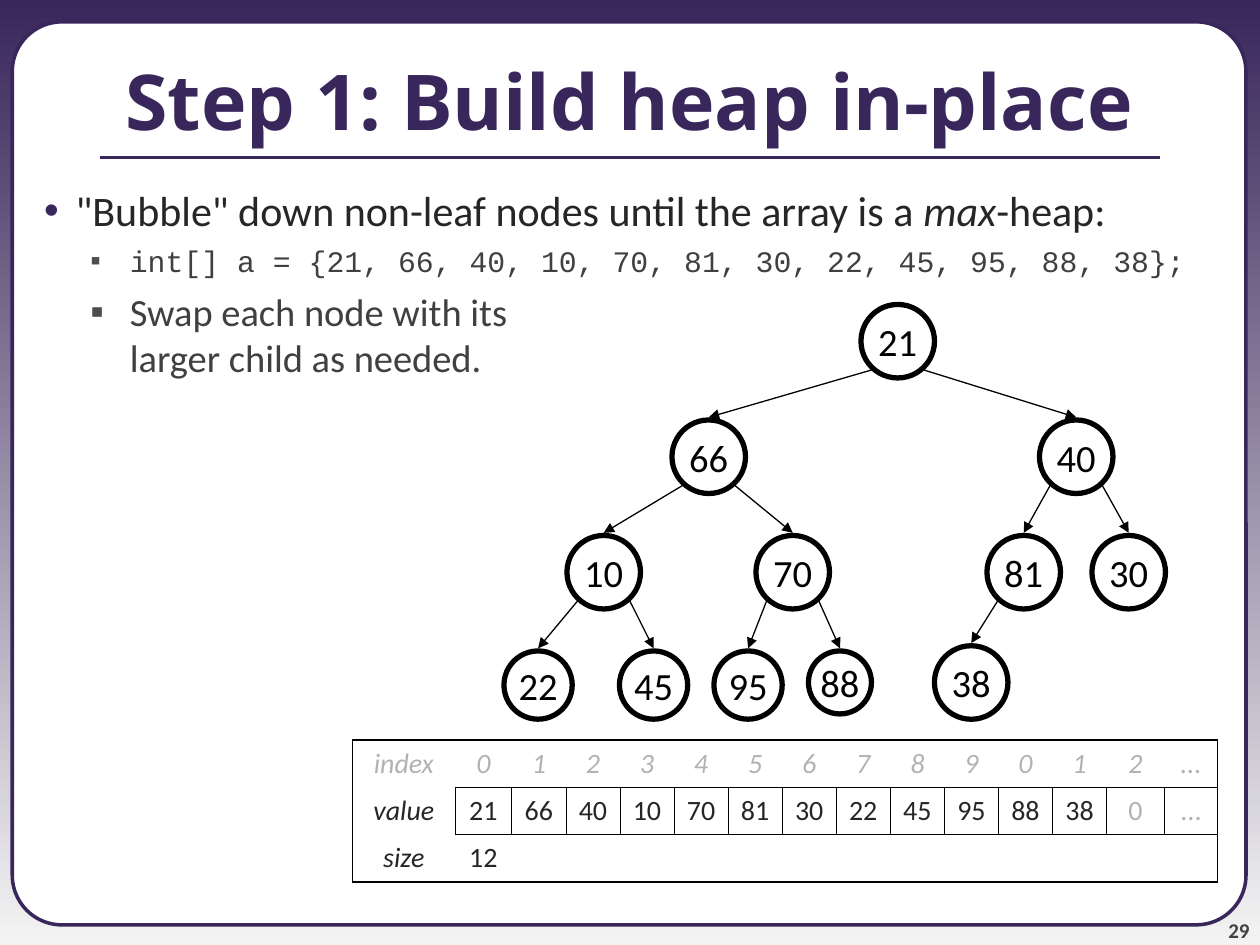
from lxml import etree
from pptx import Presentation
from pptx.dml.color import RGBColor
from pptx.enum.shapes import MSO_CONNECTOR, MSO_SHAPE
from pptx.enum.text import MSO_ANCHOR, MSO_AUTO_SIZE, PP_ALIGN
from pptx.oxml.ns import qn
from pptx.util import Pt

STRAIGHT = MSO_CONNECTOR.STRAIGHT
OVAL, ROUND_RECT = MSO_SHAPE.OVAL, MSO_SHAPE.ROUNDED_RECTANGLE
TOP, MIDDLE, BOTTOM = MSO_ANCHOR.TOP, MSO_ANCHOR.MIDDLE, MSO_ANCHOR.BOTTOM
CENTER, LEFT, RIGHT = PP_ALIGN.CENTER, PP_ALIGN.LEFT, PP_ALIGN.RIGHT
NO_FIT = MSO_AUTO_SIZE.NONE

PURPLE = RGBColor(0x39, 0x27, 0x5B)
PALE = RGBColor(0xF3, 0xF3, 0xF3)
WHITE = RGBColor(0xFF, 0xFF, 0xFF)
BLACK = RGBColor(0, 0, 0)
INK = RGBColor(0x26, 0x26, 0x26)
DARK = RGBColor(0x40, 0x40, 0x40)
NUMBER_GRAY = RGBColor(0x42, 0x42, 0x42)
BULLET_GRAY = RGBColor(0x4D, 0x4D, 0x4D)
MUTED = RGBColor(0xB2, 0xB2, 0xB2)


def add_run(p, text, size, color, font="Calibri", bold=False, italic=False):
    r = p.add_run()
    r.text = text
    r.font.name, r.font.size, r.font.color.rgb = font, Pt(size), color
    r.font.bold, r.font.italic = bold, italic


def add_line(x1, y1, x2, y2, color, width):
    line = s.shapes.add_connector(STRAIGHT, Pt(x1), Pt(y1), Pt(x2), Pt(y2))
    line.line.color.rgb, line.line.width = color, Pt(width)
    etree.SubElement(line._element.spPr, qn("a:effectLst"))
    return line


prs = Presentation()
prs.slide_width, prs.slide_height = Pt(720), Pt(540)
s = prs.slides.add_slide(prs.slide_layouts[1])
title, body = s.shapes.title, s.placeholders[1]

backdrop = s.background.fill
backdrop.gradient()
backdrop.gradient_angle = 270
for stop, color in zip(backdrop.gradient_stops, (PURPLE, PALE)):
    stop.color.rgb = color

card = s.shapes.add_shape(ROUND_RECT, Pt(7), Pt(12.5), Pt(705), Pt(516))
card.adjustments[0] = 0.055
card.shadow.inherit = False
card.fill.solid()
card.fill.fore_color.rgb = WHITE
card.line.color.rgb, card.line.width = PURPLE, Pt(2)

number = s.shapes.add_textbox(Pt(654), Pt(510), Pt(60), Pt(28.5))
tf = number.text_frame
tf.word_wrap, tf.vertical_anchor = True, BOTTOM
tf.margin_left = tf.margin_right = tf.margin_top = tf.margin_bottom = 0
p = tf.paragraphs[0]
p.alignment = RIGHT
add_run(p, "29", 12, NUMBER_GRAY, bold=True)

rule = add_line(57, 90, 663, 90, PURPLE, 2.25)
for sp in (card, number, rule):
    title._element.addprevious(sp._element)

title.left, title.top, title.width, title.height = Pt(0), Pt(12), Pt(720), Pt(90)
tf = title.text_frame
tf.auto_size, tf.vertical_anchor = NO_FIT, MIDDLE
p = tf.paragraphs[0]
p.alignment = CENTER
add_run(p, "Step 1: Build heap in-place", 44, PURPLE, "Open Sans", bold=True)

body.left, body.top, body.width, body.height = Pt(0), Pt(102), Pt(720), Pt(438)
tf = body.text_frame
tf.auto_size, tf.vertical_anchor = NO_FIT, TOP
items = [
    (0, 36, -18, 0, "•", PURPLE),
    (1, 67, -22.5, 4.2, "▪", BULLET_GRAY),
    (1, 67, -22.5, 5.5, "▪", BULLET_GRAY),
]
for i, (level, margin, indent, before, bullet, color) in enumerate(items):
    p = tf.paragraphs[0] if i == 0 else tf.add_paragraph()
    p.level, p.alignment = level, LEFT
    pPr = p._p.get_or_add_pPr()
    pPr.set("marL", str(Pt(margin)))
    pPr.set("indent", str(Pt(indent)))
    bullet_color = etree.SubElement(pPr, qn("a:buClr"))
    etree.SubElement(bullet_color, qn("a:srgbClr"), val=str(color))
    etree.SubElement(pPr, qn("a:buChar"), char=bullet)
    p.space_before = Pt(before)

heap_item, code_item, swap_item = tf.paragraphs
add_run(heap_item, '"Bubble" down non-leaf nodes until the array is a ', 24, INK)
add_run(heap_item, "max", 24, INK, italic=True)
add_run(heap_item, "-heap:", 24, INK)
add_run(code_item, "int[] a = {21, 66, 40, 10, 70, 81, 30, 22, 45, 95, 88, 38};",
        17, DARK, "Courier New")
add_run(swap_item, "Swap each node with its", 22, DARK)
swap_item.add_line_break()
add_run(swap_item, "larger child as needed.", 22, DARK)

nodes = [
    (21, 492, 174, 42),
    (66, 384, 240, 42), (40, 594, 240, 42),
    (10, 324, 306, 42), (70, 432, 306, 42), (81, 564, 306, 42), (30, 624, 306, 42),
    (22, 288, 372, 39), (45, 354, 372, 39), (95, 408, 372, 39), (88, 462, 372, 36),
    (38, 534, 369, 42),
]
for value, x, y, size in nodes:
    node = s.shapes.add_shape(OVAL, Pt(x), Pt(y), Pt(size), Pt(size))
    node.shadow.inherit = False
    node.fill.background()
    node.line.color.rgb, node.line.width = BLACK, Pt(3)
    tf = node.text_frame
    tf.word_wrap, tf.vertical_anchor = False, MIDDLE
    p = tf.paragraphs[0]
    p.alignment = CENTER
    add_run(p, str(value), 22, BLACK)

GAP = 1.5
for child in range(1, len(nodes)):
    _, px, py, parent_size = nodes[(child - 1) // 2]
    _, cx, cy, child_size = nodes[child]
    reach = 0.71 * parent_size / 2
    side = -1 if child % 2 else 1
    edge = add_line(px + parent_size / 2 + side * reach,
                    py + parent_size / 2 + reach + GAP,
                    cx + child_size / 2, cy - GAP, BLACK, 0.75)
    etree.SubElement(edge.line._get_or_add_ln(), qn("a:tailEnd"), type="triangle")

values = [str(node[0]) for node in nodes]
rows = [
    ["index", *"0123456789012", "..."],
    ["value", *values, "0", "..."],
    ["size", str(len(values))] + [""] * 13,
]
widths = [58.5, 32.5] + [30.9] * 11 + [33, 30.5]
last = len(widths) - 1
THICK, THIN = 1.08, 0.45
frame = s.shapes.add_table(3, len(widths), Pt(201.5), Pt(423), Pt(sum(widths)), Pt(81))
table = frame.table
table.first_row = table.horz_banding = False
for column, width in zip(table.columns, widths):
    column.width = Pt(width)
for r, row in enumerate(rows):
    table.rows[r].height = Pt(27)
    for c, text in enumerate(row):
        cell = table.cell(r, c)
        cell.fill.background()
        p = cell.text_frame.paragraphs[0]
        p.alignment = CENTER
        if text:
            muted = r == 0 or (r == 1 and c >= last - 1)
            add_run(p, text, 16, MUTED if muted else INK,
                    italic=r == 0 or c == 0)
        else:
            p._p.get_or_add_endParaRPr().set("sz", "1600")
        boxed = THIN if r == 1 and c > 0 else 0
        borders = {
            "a:lnL": THICK if c == 0 else boxed,
            "a:lnR": THICK if c == last else THIN if r == 1 else 0,
            "a:lnT": THICK if r == 0 else THIN if c > 0 else 0,
            "a:lnB": THICK if r == 2 else THIN if c > 0 else 0,
        }
        tcPr = cell._tc.get_or_add_tcPr()
        for i, (tag, width) in enumerate(borders.items()):
            ln = etree.Element(qn(tag), w=str(Pt(width)))
            if width:
                solid = etree.SubElement(ln, qn("a:solidFill"))
                etree.SubElement(solid, qn("a:srgbClr"), val=str(BLACK))
            else:
                etree.SubElement(ln, qn("a:noFill"))
            tcPr.insert(i, ln)

prs.save("out.pptx")
